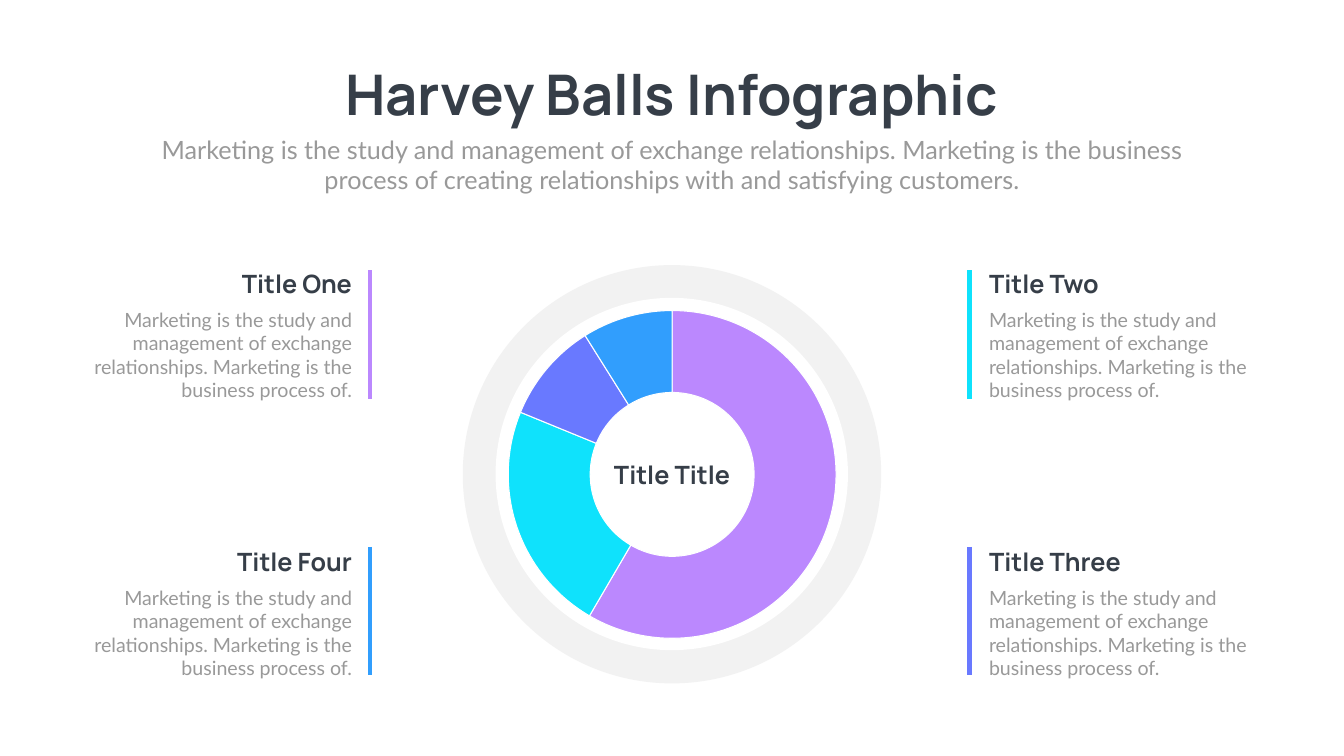
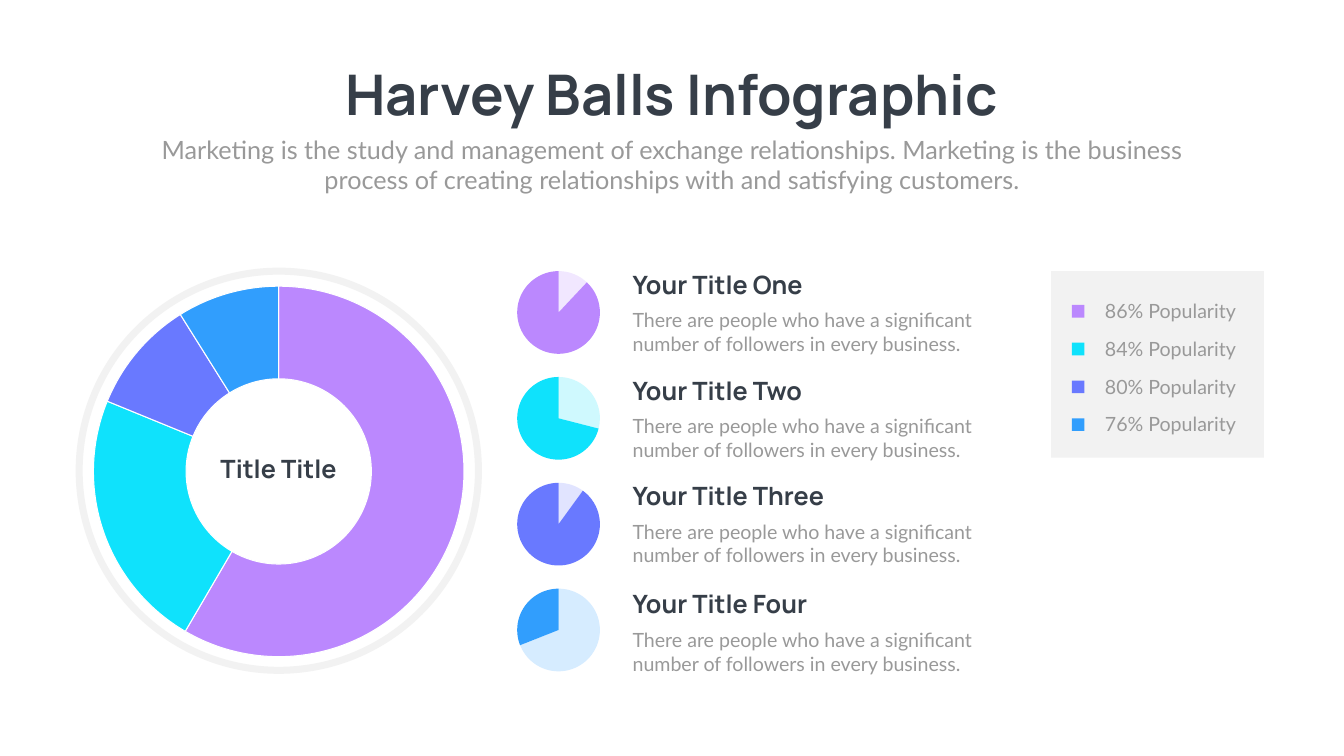
from lxml.etree import SubElement
from pptx import Presentation
from pptx.chart.data import CategoryChartData
from pptx.dml.color import RGBColor
from pptx.enum.chart import XL_CHART_TYPE
from pptx.enum.shapes import MSO_CONNECTOR, MSO_SHAPE
from pptx.enum.text import MSO_ANCHOR, MSO_AUTO_SIZE, PP_ALIGN
from pptx.oxml import parse_xml
from pptx.oxml.ns import nsdecls, qn
from pptx.util import Inches, Pt

# Shared content
TITLE = "Harvey Balls Infographic"
SUBTITLE = ("Marketing is the study and management of exchange relationships. "
            "Marketing is the business process of creating relationships with "
            "and satisfying customers.")
CENTRE_LABEL = "Title Title"
SHARES = [59, 23, 10, 9]

# Shared style
PURPLE, CYAN, INDIGO, BLUE = ACCENTS = ["BB88FE", "0FE2FC", "6979FF", "319EFD"]
DARK, GREY, PALE, WHITE = "363E48", "999999", "F2F2F2", "FFFFFF"
HEADING_FONT, BODY_FONT, CHART_FONT = "Manrope", "Lato", "Calibri"
LEFT, CENTRE, RIGHT = PP_ALIGN.LEFT, PP_ALIGN.CENTER, PP_ALIGN.RIGHT
DOUGHNUT_PLOT = (0.05, 0.071, 0.901, 0.902)
PIE_PLOT = (0.077, 0.073, 0.846, 0.86)

# Slide 1: column, row, title, colour
CARD_TEXT = ("Marketing is the study and management of exchange relationships. "
             "Marketing is the business process of.")
CARDS = [
    ("left", "top", "Title One", PURPLE),
    ("right", "top", "Title Two", CYAN),
    ("right", "bottom", "Title Three", INDIGO),
    ("left", "bottom", "Title Four", BLUE),
]
CARD_COLUMNS = {"left": (1.7, 7.34, RIGHT), "right": (19.52, 19.23, LEFT)}
CARD_ROWS = {"top": (5.27, 5.36), "bottom": (10.79, 10.85)}

# Slide 2: title, title top, pie values, pale tint, legend entry
ITEM_TEXT = ("There are people who have a significant number of followers "
             "in every business.")
ITEMS = [
    ("Your Title One", 5.29, (12, 88), "F1E7FF", "86% Popularity"),
    ("Your Title Two", 7.39, (29, 71), "CFF9FE", "84% Popularity"),
    ("Your Title Three", 9.48, (10, 90), "E1E4FF", "80% Popularity"),
    ("Your Title Four", 11.63, (69, 31), "D6ECFF", "76% Popularity"),
]
PIE_TOP, PIE_STEP = 5.24, 2.1
LEGEND_TOP, LEGEND_STEP = 6.05, 0.75
TEXT_DROP = 0.78


def colour(value):
    return RGBColor.from_string(value)


def place(box, left, top, width, height):
    box.left, box.top = Inches(left), Inches(top)
    box.width, box.height = Inches(width), Inches(height)


def write(box, text, size, font, shade, align=LEFT, bold=False):
    frame = box.text_frame
    frame.text = text
    frame.word_wrap = True
    frame.auto_size = MSO_AUTO_SIZE.NONE
    frame.vertical_anchor = MSO_ANCHOR.TOP
    para = frame.paragraphs[0]
    para.alignment = align
    para.space_before = Pt(0)
    span = para.runs[0]
    span.font.size, span.font.name, span.font.bold = Pt(size), font, bold
    span.font.color.rgb = colour(shade)


def add_text(page, area, text, align=LEFT):
    box = page.shapes.add_textbox(*map(Inches, area))
    write(box, text, 28, BODY_FONT, GREY, align)


def add_heading(page, area, text, align=LEFT):
    box = page.shapes.add_textbox(*map(Inches, area))
    write(box, text, 36, HEADING_FONT, DARK, align, bold=True)


def add_shape(page, kind, area, fill=None, line=None, weight=0):
    shape = page.shapes.add_shape(kind, *map(Inches, area))
    shape.shadow.inherit = False
    if fill:
        shape.fill.solid()
        shape.fill.fore_color.rgb = colour(fill)
    else:
        shape.fill.background()
    if line:
        shape.line.color.rgb = colour(line)
        shape.line.width = Pt(weight)
    else:
        shape.line.fill.background()


def add_bar(page, x, top, length, shade):
    bar = page.shapes.add_connector(MSO_CONNECTOR.STRAIGHT, Inches(x), Inches(top),
                                    Inches(x), Inches(top + length))
    bar.line.color.rgb = colour(shade)
    bar.line.width = Pt(7)
    SubElement(bar._element.spPr, qn("a:effectLst"))


def clear_background(chart, plot_box):
    """Fix the plot area's place and make the chart see-through."""
    chart_space = chart._chartSpace
    plot_area = chart_space.find(".//" + qn("c:plotArea"))
    for layout in plot_area.findall(qn("c:layout")):
        plot_area.remove(layout)
    places = "".join(f'<c:{name} val="{value}"/>'
                     for name, value in zip("xywh", plot_box))
    plot_area.insert(0, parse_xml(
        f'<c:layout {nsdecls("c")}><c:manualLayout><c:layoutTarget val="inner"/>'
        f'<c:xMode val="edge"/><c:yMode val="edge"/>{places}'
        f'</c:manualLayout></c:layout>'))
    no_fill = (f'<c:spPr {nsdecls("c", "a")}><a:noFill/>'
               f'<a:ln><a:noFill/></a:ln></c:spPr>')
    plot_area.append(parse_xml(no_fill))
    chart_space.find(qn("c:chart")).addnext(parse_xml(no_fill))


def add_round_chart(page, kind, area, values, shades, plot_box, size, edge=None):
    data = CategoryChartData()
    data.categories = [str(number + 1) for number in range(len(values))]
    data.add_series("Series 1", values)
    chart = page.shapes.add_chart(kind, *map(Inches, area), data).chart
    chart.has_title = chart.has_legend = False
    chart.font.name, chart.font.size = CHART_FONT, Pt(size)
    chart.font.color.rgb = colour(GREY)
    plot = chart.plots[0]
    plot.vary_by_categories = True
    for index, shade in enumerate(shades):
        style = plot.series[0].points[index].format
        style.fill.solid()
        style.fill.fore_color.rgb = colour(shade)
        if edge:
            style.line.color.rgb = colour(edge)
            style.line.width = Pt(1.5)
        else:
            style.line.fill.background()
    clear_background(chart, plot_box)
    return chart


def add_doughnut(page, area):
    chart = add_round_chart(page, XL_CHART_TYPE.DOUGHNUT, area, SHARES, ACCENTS,
                            DOUGHNUT_PLOT, 10, WHITE)
    chart._chartSpace.find(".//" + qn("c:holeSize")).set("val", "48")


def add_page(deck):
    page = deck.slides.add_slide(deck.slide_layouts[0])
    title, subtitle = page.placeholders
    place(title, 4.88, 1.14, 16.89, 1.45)
    write(title, TITLE, 80, HEADING_FONT, DARK, CENTRE, bold=True)
    place(subtitle, 2.92, 2.61, 20.82, 1.31)
    write(subtitle, SUBTITLE, 36, BODY_FONT, GREY, CENTRE)
    return page


def build_cards_page(deck):
    page = add_page(deck)

    # Doughnut in a pale ring
    add_shape(page, MSO_SHAPE.OVAL, (9.18, 5.26, 8.3, 8.3), PALE)
    add_shape(page, MSO_SHAPE.OVAL, (9.83, 5.91, 6.99, 6.99), WHITE)
    add_doughnut(page, (9.53, 5.65, 7.6, 7.21))
    add_heading(page, (10.64, 9.06, 5.38, 0.71), CENTRE_LABEL, CENTRE)

    # Four cards, each with a coloured bar
    for column, row, title, shade in CARDS:
        left, bar_x, align = CARD_COLUMNS[column]
        top, bar_top = CARD_ROWS[row]
        add_heading(page, (left, top, 5.38, 0.71), title, align)
        add_text(page, (left, top + TEXT_DROP, 5.38, 1.99), CARD_TEXT, align)
        add_bar(page, bar_x, bar_top, 2.55, shade)


def build_pies_page(deck):
    page = add_page(deck)

    # Doughnut with a thin ring
    add_doughnut(page, (1.23, 5.1, 8.59, 8.15))
    add_heading(page, (2.49, 8.94, 6.07, 0.8), CENTRE_LABEL, CENTRE)
    add_shape(page, MSO_SHAPE.OVAL, (1.57, 5.38, 7.92, 7.92), line=PALE, weight=10)

    # Pies with their texts, and the legend panel
    add_shape(page, MSO_SHAPE.RECTANGLE, (20.85, 5.38, 4.22, 3.7), PALE)
    for index, (title, top, values, tint, popularity) in enumerate(ITEMS):
        shade = ACCENTS[index]
        add_round_chart(page, XL_CHART_TYPE.PIE,
                        (10.11, PIE_TOP + index * PIE_STEP, 1.94, 1.91),
                        values, (tint, shade), PIE_PLOT, 18)
        add_heading(page, (12.45, top, 8.4, 0.71), title)
        add_text(page, (12.45, top + TEXT_DROP, 7.1, 1.04), ITEM_TEXT)
        key_top = LEGEND_TOP + index * LEGEND_STEP
        add_shape(page, MSO_SHAPE.RECTANGLE, (21.26, key_top, 0.25, 0.25), shade)
        add_text(page, (21.82, key_top - 0.17, 3.02, 0.57), popularity)


def main():
    deck = Presentation()
    deck.slide_width, deck.slide_height = Inches(26.66), Inches(15)
    build_cards_page(deck)
    build_pies_page(deck)
    deck.save("out.pptx")


if __name__ == "__main__":
    main()
